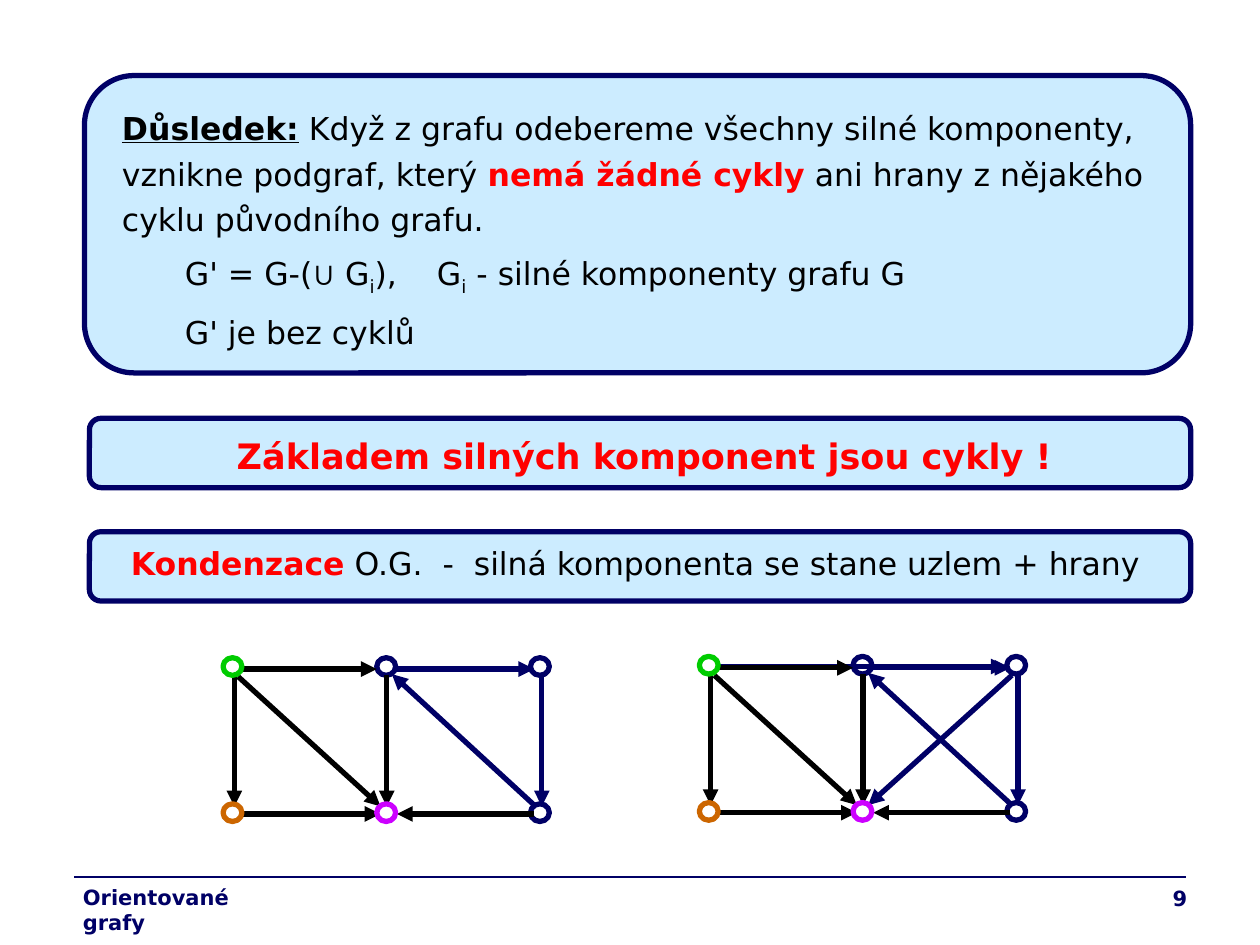
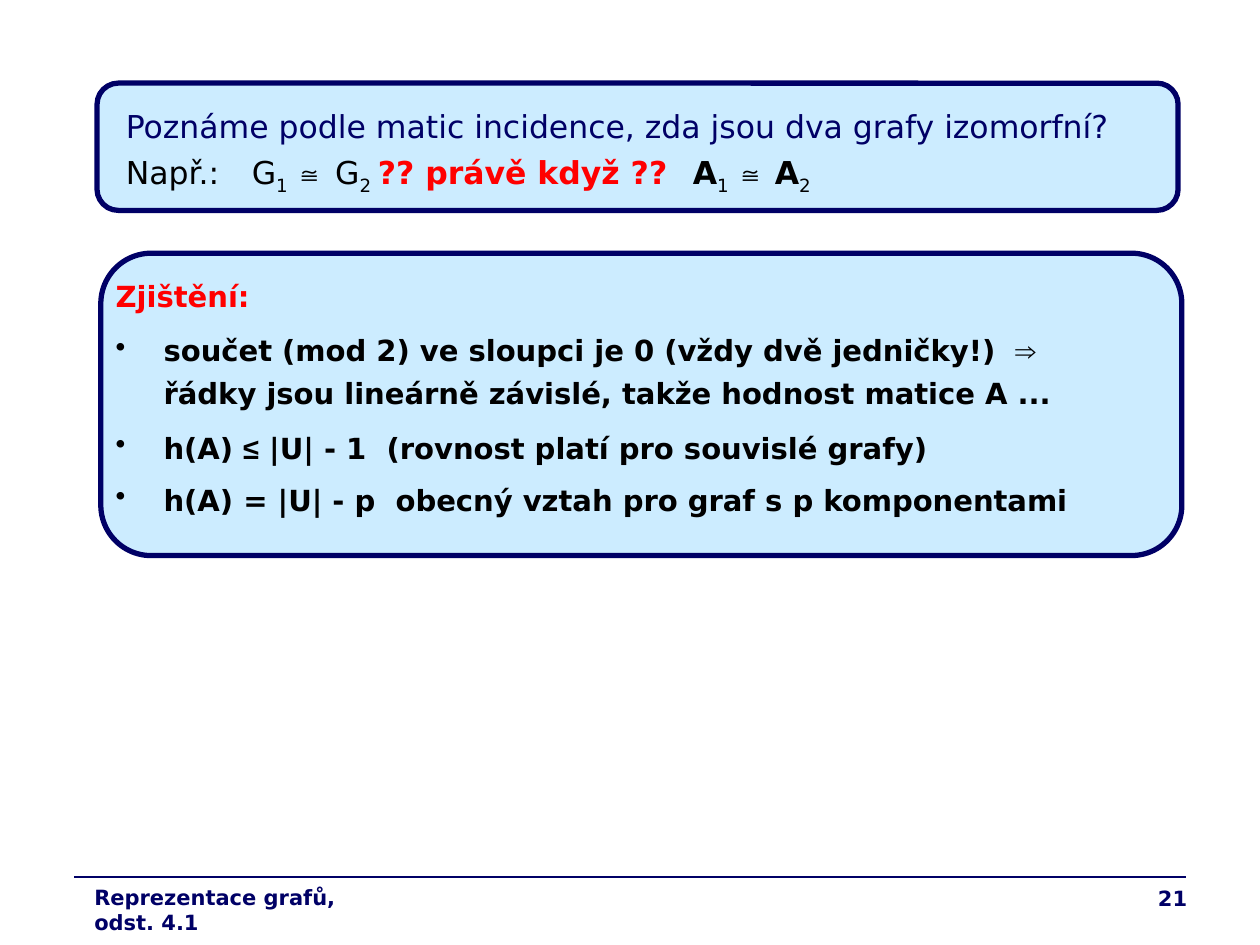
from dataclasses import dataclass

from lxml.etree import SubElement
from pptx import Presentation
from pptx.dml.color import RGBColor as Color
from pptx.enum.shapes import MSO_CONNECTOR as Connector, MSO_SHAPE as Shape
from pptx.enum.text import PP_ALIGN as Align
from pptx.oxml.ns import qn
from pptx.util import Inches, Pt


@dataclass(frozen=True)
class Theme:
    font: str = "DejaVu Sans"
    symbol_font: str = "Arial"
    navy: str = "000066"
    black: str = "000000"
    red: str = "FF0000"
    white: str = "FFFFFF"
    panel: str = "CCECFF"
    green: str = "00CC00"
    orange: str = "CC6600"
    violet: str = "CC00FF"
    footer_size: float = 12
    list_size: float = 16.6
    text_size: float = 18
    heading_size: float = 20
    thin: float = 0.75
    thick: float = 3


THEME = Theme()

# Formats for spans of text
BOLD = {"bold": True}
RED = {"bold": True, "color": THEME.red}
NAVY = {"color": THEME.navy}
SYMBOL = {"name": THEME.symbol_font}
SUB = {"baseline": -25000}

# Graph nodes and edges, measured from the top left node
NODE_WIDTH, NODE_HEIGHT = 0.15, 0.14
COLUMN_STEP, ROW_STEP = 1.22, 1.16
BACK_NODES = [(1, 0, THEME.navy), (2, 0, THEME.navy), (2, 1, THEME.navy)]
FRONT_NODES = [(0, 0, THEME.green), (0, 1, THEME.orange), (1, 1, THEME.violet)]
EDGES = [
    (0.12, 0.09, 1.22, 0.09, THEME.black),
    (0.15, 1.24, 1.25, 1.24, THEME.black),
    (1.38, 0.09, 2.47, 0.09, THEME.navy),
    (2.53, 0.15, 2.53, 1.18, THEME.navy),
    (1.30, 0.14, 1.30, 1.18, THEME.black),
    (0.09, 0.15, 0.09, 1.18, THEME.black),
    (2.47, 1.24, 1.38, 1.24, THEME.black),
    (0.12, 0.15, 1.25, 1.18, THEME.black),
    (2.47, 1.17, 1.34, 0.13, THEME.navy),
]
CROSSING_EDGES = [
    (2.48, 0.15, 1.34, 1.18, THEME.navy),
    (0.16, 0.08, 2.44, 0.08, THEME.navy),
]


def add_outlined(shapes, kind, left, top, width, height, fill, line):
    shape = shapes.add_shape(kind, *map(Inches, (left, top, width, height)))
    shape.shadow.inherit = False
    shape.fill.solid()
    shape.fill.fore_color.rgb = Color.from_string(fill)
    shape.line.color.rgb = Color.from_string(line)
    shape.line.width = Pt(THEME.thick)


def add_panel(page, left, top, width, height):
    add_outlined(page.shapes, Shape.ROUNDED_RECTANGLE, left, top, width, height,
                 THEME.panel, THEME.navy)


def add_line(shapes, x1, y1, x2, y2, color, width, arrow=False):
    line = shapes.add_connector(Connector.STRAIGHT, *map(Inches, (x1, y1, x2, y2)))
    line.line.color.rgb = Color.from_string(color)
    line.line.width = Pt(width)
    if arrow:
        SubElement(line.line._get_or_add_ln(), qn("a:tailEnd"), type="triangle")
    SubElement(line._element.spPr, qn("a:effectLst"))


def add_span(para, text, size, formats):
    span = para.add_run()
    span.text = text
    values = {"name": THEME.font, "size": Pt(size), "color": THEME.black, **formats}
    color, baseline = values.pop("color"), values.pop("baseline", None)
    for name, value in values.items():
        setattr(span.font, name, value)
    span.font.color.rgb = Color.from_string(color)
    if baseline:
        span._r.get_or_add_rPr().set("baseline", str(baseline))


def set_layout(para, indent=0, bullet=False, tabs=()):
    properties = para._p.get_or_add_pPr()
    properties.set("marL", str(Inches(indent)))
    properties.set("indent", str(Inches(-indent if bullet else 0)))
    if bullet:
        color = SubElement(properties, qn("a:buClr"))
        SubElement(color, qn("a:srgbClr"), val=THEME.black)
        SubElement(properties, qn("a:buChar"), char="•")
    if tabs:
        stops = SubElement(properties, qn("a:tabLst"))
        for stop in tabs:
            SubElement(stops, qn("a:tab"), pos=str(Inches(stop)), algn="l")


def add_text(page, left, top, width, height, size, paragraphs):
    """Each paragraph is (spans, paragraph formats, layout)."""
    box = page.shapes.add_textbox(*map(Inches, (left, top, width, height)))
    frame = box.text_frame
    frame.word_wrap = True
    for index, (spans, formats, layout) in enumerate(paragraphs):
        para = frame.add_paragraph() if index else frame.paragraphs[0]
        set_layout(para, **layout)
        for name, value in formats.items():
            setattr(para, name, value)
        for text, span_formats in spans:
            add_span(para, text, size, span_formats)


def add_footer(page, left, width, title, number):
    label = {**BOLD, **NAVY}
    add_line(page.shapes, 0.59, 6.96, 9.41, 6.96, THEME.navy, THEME.thin)
    add_text(page, left, 6.97, width, 0.3, THEME.footer_size,
             [([(title, label)], {}, {})])
    add_text(page, 7.44, 6.98, 2.08, 0.36, THEME.footer_size,
             [([(number, label)], {"alignment": Align.RIGHT}, {})])


def add_graph(page, left, top, extra_edges=()):
    shapes = page.shapes.add_group_shape().shapes

    def add_nodes(nodes):
        for column, row, color in nodes:
            add_outlined(shapes, Shape.OVAL, left + column * COLUMN_STEP,
                         top + row * ROW_STEP, NODE_WIDTH, NODE_HEIGHT,
                         THEME.white, color)

    add_nodes(BACK_NODES)
    for x1, y1, x2, y2, color in [*extra_edges, *EDGES]:
        add_line(shapes, left + x1, top + y1, left + x2, top + y2,
                 color, THEME.thick, arrow=True)
    add_nodes(FRONT_NODES)


def build_components_page(page):
    # Corollary
    add_panel(page, 0.67, 0.6, 8.78, 2.36)
    first = {"line_spacing": 1.2}
    spaced = {**first, "space_before": Pt(4.5)}
    add_text(page, 0.87, 0.76, 8.47, 2.08, THEME.text_size, [
        ([("Důsledek:", {"bold": True, "underline": True}),
          (" Když z grafu odebereme všechny silné komponenty, "
           "vznikne podgraf, který ", {}),
          ("nemá žádné cykly", RED),
          (" ani hrany z nějakého cyklu původního grafu.", {})], first, {}),
        ([("\tG' = G-(", {}), ("∪", SYMBOL), (" G", {}), ("i", SUB),
          ("),\tG", {}), ("i", SUB), (" - silné komponenty grafu G", {})],
         spaced, {"tabs": (1, 2.92)}),
        ([("\tG' je bez cyklů", {})], spaced, {"tabs": (1,)}),
    ])

    # Key statements
    for top in (3.32, 4.22):
        add_panel(page, 0.71, top, 8.74, 0.55)
    add_text(page, 0.94, 3.4, 8.35, 0.44, THEME.heading_size, [
        ([("Základem silných komponent jsou cykly !", RED)],
         {"alignment": Align.CENTER}, {}),
    ])
    add_text(page, 0.94, 4.3, 8.35, 0.37, THEME.text_size, [
        ([("Kondenzace", RED),
          (" O.G.  -  silná komponenta se stane uzlem + hrany", {})],
         {"line_spacing": 0.9}, {}),
    ])

    # Example graphs
    add_graph(page, 1.77, 5.22)
    add_graph(page, 5.55, 5.21, CROSSING_EDGES)
    add_footer(page, 0.56, 1.73, "Orientované grafy", "9")


def build_incidence_page(page):
    # Question
    add_panel(page, 0.77, 0.66, 8.58, 1.01)
    add_text(page, 0.9, 0.8, 8.41, 0.81, THEME.text_size, [
        ([("Poznáme podle matic incidence, zda jsou dva grafy izomorfní?", NAVY)],
         {}, {}),
        ([("Např.:\tG", {}), ("1 ", SUB), ("≅", SYMBOL), (" G", {}),
          ("2\t", SUB), ("?? právě když ??\t", RED), ("A", BOLD), ("1 ", SUB),
          ("≅ ", SYMBOL), ("A", BOLD), ("2", SUB)],
         {"space_before": Pt(4.5), "space_after": Pt(4.5)},
         {"tabs": (0.98, 2.32, 5)}),
    ])

    # Findings
    add_panel(page, 0.8, 2.01, 8.58, 2.4)
    bold_symbol = {**BOLD, **SYMBOL}
    item = {"indent": 0.38, "bullet": True}
    add_text(page, 0.82, 2.16, 8.71, 1.94, THEME.list_size, [
        ([("Zjištění:", RED)], {}, {}),
        ([("součet (mod 2) ve sloupci je 0 (vždy dvě jedničky!)  ", BOLD),
          ("⇒", bold_symbol)], {"space_before": Pt(11.2)}, item),
        ([("řádky jsou lineárně závislé, takže hodnost matice A ...", BOLD)],
         {"space_before": Pt(4.5)}, {"indent": 0.38}),
        ([("h(A) ", BOLD), ("≤", bold_symbol),
          (" |U| - 1  (rovnost platí pro souvislé grafy)", BOLD)],
         {"space_before": Pt(11.2)}, item),
        ([("h(A) = |U| - p  obecný vztah pro graf s p komponentami", BOLD)],
         {"space_before": Pt(10)}, item),
    ])
    add_footer(page, 0.65, 2.61, "Reprezentace grafů, odst. 4.1", "21")


def main():
    deck = Presentation()
    deck.slide_width, deck.slide_height = Inches(10), Inches(7.5)
    for build_page in (build_components_page, build_incidence_page):
        build_page(deck.slides.add_slide(deck.slide_layouts[6]))
    deck.save("out.pptx")


if __name__ == "__main__":
    main()
